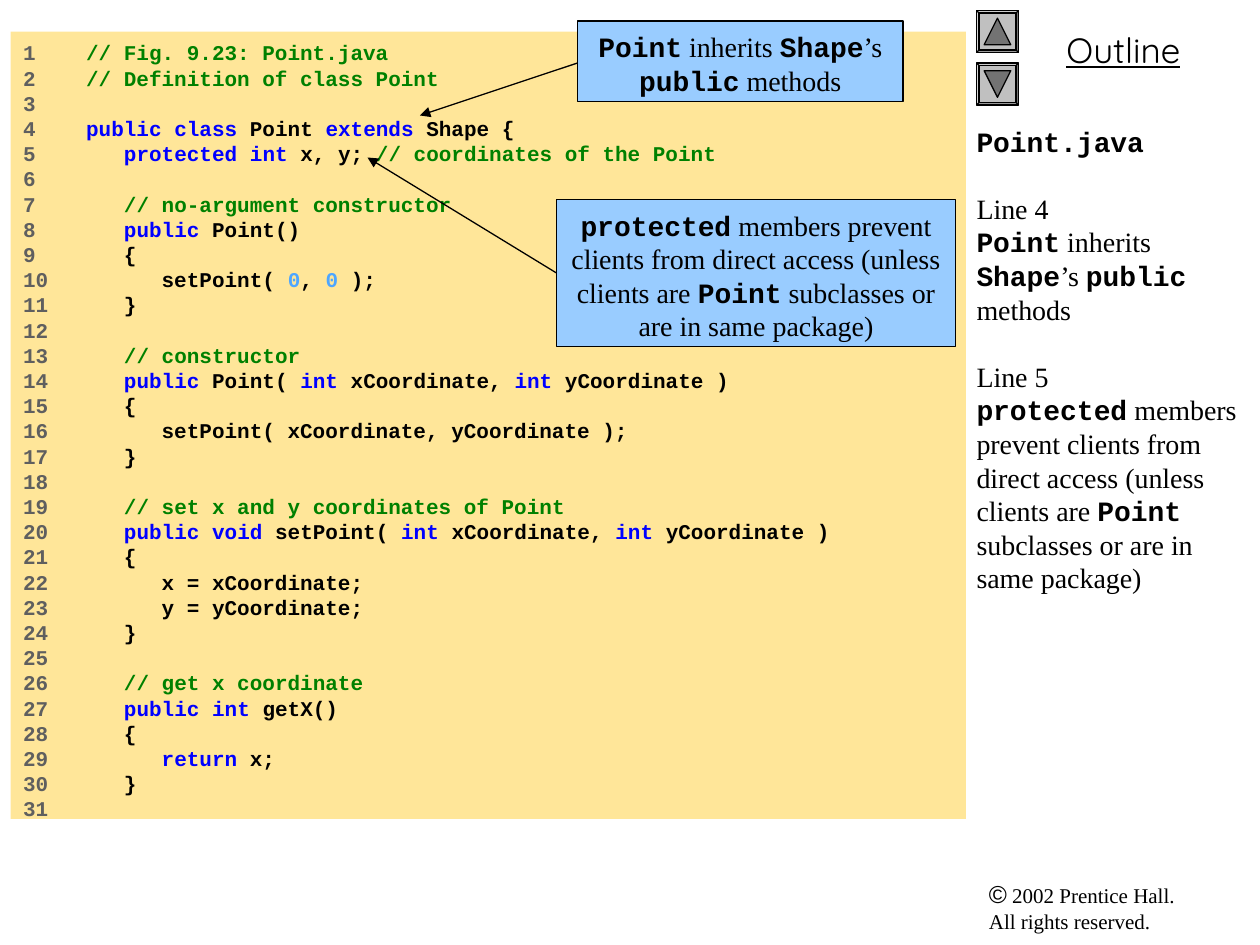
from itertools import groupby

from lxml.etree import SubElement
from pptx import Presentation
from pptx.dml.color import RGBColor
from pptx.enum.shapes import MSO_CONNECTOR as Connector, MSO_SHAPE as Shape
from pptx.enum.text import MSO_ANCHOR as Anchor, MSO_AUTO_SIZE as AutoSize, PP_ALIGN as Align
from pptx.oxml.ns import qn
from pptx.util import Pt

COLORS = {
    "text": "000000",
    "number": "5F5F5F",
    "comment": "008000",
    "keyword": "0000FF",
    "literal": "4DA6FF",
    "listing": "FFE699",
    "callout": "99CCFF",
    "button": "C0C0C0",
    "arrow": "737373",
}
SERIF, MONO = "Times New Roman", "Courier New"
KEYWORDS = {"public", "class", "extends", "protected", "int", "void", "return"}
CODE = """// Fig. 9.23: Point.java
// Definition of class Point

public class Point extends Shape {
   protected int x, y; // coordinates of the Point

   // no-argument constructor
   public Point()
   {
      setPoint( 0, 0 );
   }

   // constructor
   public Point( int xCoordinate, int yCoordinate )
   {
      setPoint( xCoordinate, yCoordinate );
   }

   // set x and y coordinates of Point
   public void setPoint( int xCoordinate, int yCoordinate )
   {
      x = xCoordinate;
      y = yCoordinate;
   }

   // get x coordinate
   public int getX()
   {
      return x;
   }
"""
INHERITS = "`Point` inherits `Shape`’s `public` methods"
PROTECTED = (
    "`protected` members prevent clients from direct access "
    "(unless clients are `Point` subclasses or are in same package)"
)
OUTLINE = f"`Point.java`\n\nLine 4\n{INHERITS}\n\nLine 5\n{PROTECTED}"


def rgb(name):
    return RGBColor.from_string(COLORS[name])


def add_span(para, text, font=SERIF, size=16, color="text", bold=False, underline=False):
    span = para.add_run()
    span.text = text
    span.font.name = font
    span.font.size = Pt(size)
    span.font.bold = bold
    span.font.underline = underline
    span.font.color.rgb = rgb(color)


def add_marked_text(para, text):
    for index, part in enumerate(text.split("`")):
        code = index % 2 == 1
        for row, piece in enumerate(part.split("\n")):
            if row:
                para.add_line_break()
            if piece:
                add_span(para, piece, font=MONO if code else SERIF, bold=code)


def format_frame(box, left=7.2, top=3.6):
    frame = box.text_frame
    frame.word_wrap = True
    frame.auto_size = AutoSize.NONE
    frame.vertical_anchor = Anchor.TOP
    frame.margin_left, frame.margin_right = Pt(left), Pt(7.2)
    frame.margin_top, frame.margin_bottom = Pt(top), Pt(3.6)
    return frame


def format_para(para, align=Align.LEFT, spacing=None):
    para.alignment = align
    para.space_before = Pt(0)
    para.line_spacing = spacing
    return para


def place(box, left, top, width, height):
    box.left, box.top, box.width, box.height = map(Pt, (left, top, width, height))


def paint(shape, fill):
    shape.shadow.inherit = False
    shape.fill.solid()
    shape.fill.fore_color.rgb = rgb(fill)
    shape.line.color.rgb = rgb("text")
    shape.line.width = Pt(0.75)


def add_label(page, left, top, width, height, align=Align.LEFT):
    box = page.shapes.add_textbox(Pt(left), Pt(top), Pt(width), Pt(height))
    return format_para(format_frame(box, top=4.4).paragraphs[0], align)


def add_button(page, top, rotation, arrow_top):
    button = page.shapes.add_shape(Shape.BEVEL, Pt(558), Pt(top), Pt(24), Pt(24))
    button.adjustments[0] = 0.06
    paint(button, "button")
    arrow = page.shapes.add_shape(
        Shape.ISOSCELES_TRIANGLE, Pt(562.4), Pt(arrow_top), Pt(15.2), Pt(15.2)
    )
    arrow.rotation = rotation
    paint(arrow, "arrow")


def fill_outline(box):
    place(box, 558, 66, 162, 432)
    para = format_para(format_frame(box, left=0, top=5).paragraphs[0], spacing=Pt(19.2))
    add_marked_text(para, OUTLINE)


def add_code_line(para, number, line):
    add_span(para, f"{number:<5}" if line else str(number), MONO, 12, "number", True)
    code, slashes, comment = line.partition("//")
    for _, group in groupby(code, key=str.isalnum):
        token = "".join(group)
        color = "keyword" if token in KEYWORDS else "literal" if token.isdigit() else "text"
        add_span(para, token, MONO, 12, color, True)
    if slashes:
        add_span(para, slashes + comment, MONO, 12, "comment", True)


def fill_listing(box):
    place(box, 6, 18, 546, 450)
    box.fill.solid()
    box.fill.fore_color.rgb = rgb("listing")
    frame = format_frame(box, top=4.8)
    for number, line in enumerate(CODE.split("\n"), start=1):
        para = frame.paragraphs[0] if number == 1 else frame.add_paragraph()
        add_code_line(format_para(para, spacing=Pt(14.4)), number, line)


def add_callout(page, text, left, top, width, height):
    box = page.shapes.add_shape(Shape.RECTANGLE, Pt(left), Pt(top), Pt(width), Pt(height))
    paint(box, "callout")
    para = format_para(format_frame(box, top=5).paragraphs[0], Align.CENTER, Pt(19.2))
    add_marked_text(para, text)


def add_arrow(page, *ends):
    arrow = page.shapes.add_connector(Connector.STRAIGHT, *map(Pt, ends))
    arrow.line.color.rgb = rgb("text")
    arrow.line.width = Pt(0.75)
    properties = arrow.element.spPr
    SubElement(properties.find(qn("a:ln")), qn("a:tailEnd"), type="triangle")
    SubElement(properties, qn("a:effectLst"))


def main():
    deck = Presentation()
    deck.slide_width, deck.slide_height = Pt(720), Pt(540)
    page = deck.slides.add_slide(deck.slide_layouts[0])

    fill_outline(page.shapes.title)
    fill_listing(page.placeholders[1])

    rights = add_label(page, 558, 498, 156, 39)
    add_span(rights, "©", font="Arial", size=14)
    add_span(rights, " 2002 Prentice Hall.", size=12)
    rights.add_line_break()
    add_span(rights, "All rights reserved.", size=12)
    heading = add_label(page, 564, 12, 156, 32, Align.CENTER)
    add_span(heading, "Outline", font="Quicksand", size=20, underline=True)

    add_button(page, 6, 0, 10.4)
    add_button(page, 36, 180, 40.4)

    add_callout(page, PROTECTED, 318, 114, 228, 84)
    add_arrow(page, 318, 156, 210, 90)
    add_callout(page, INHERITS, 330, 12, 186, 46)
    add_arrow(page, 330, 36, 240, 66)

    deck.save("out.pptx")


if __name__ == "__main__":
    main()
